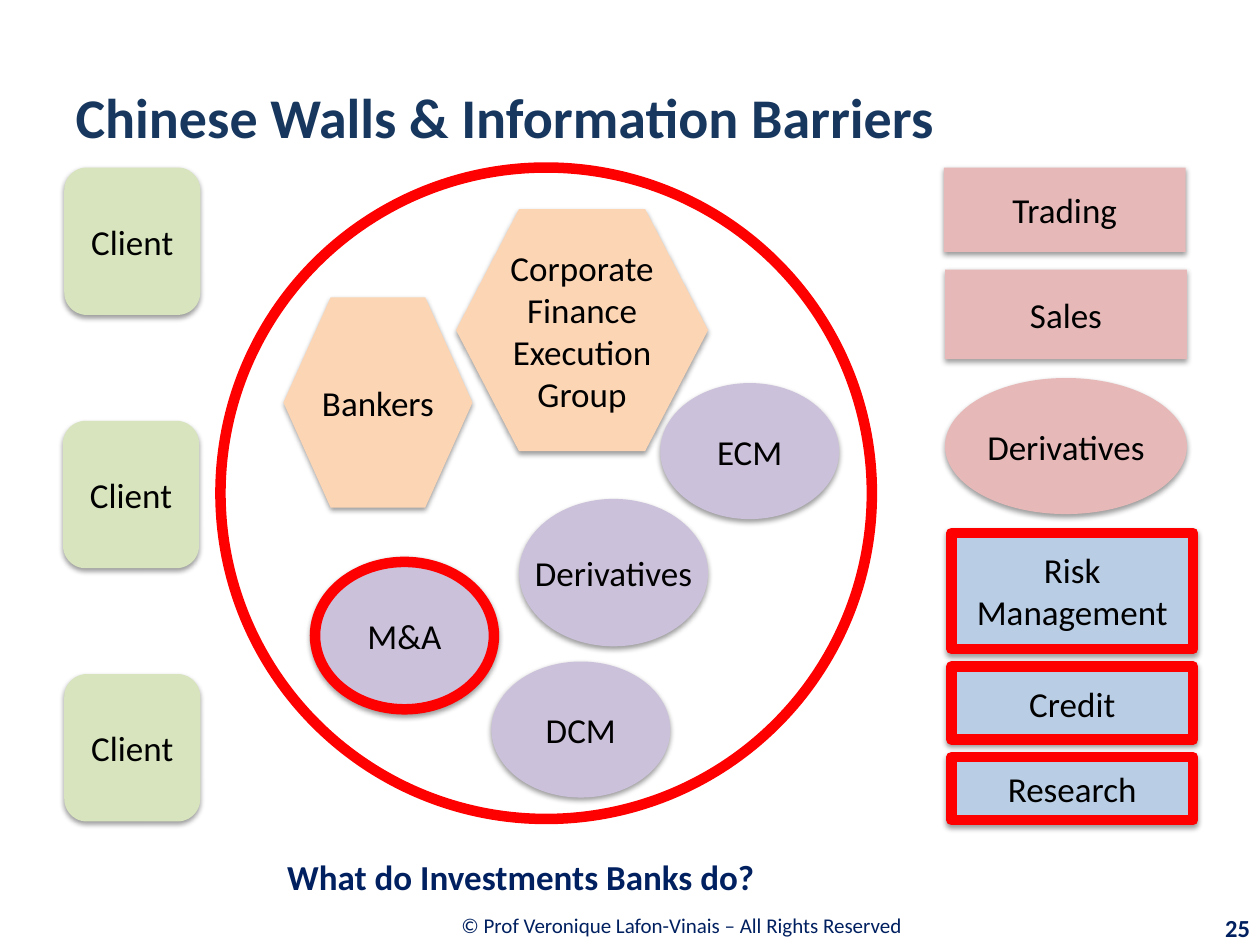
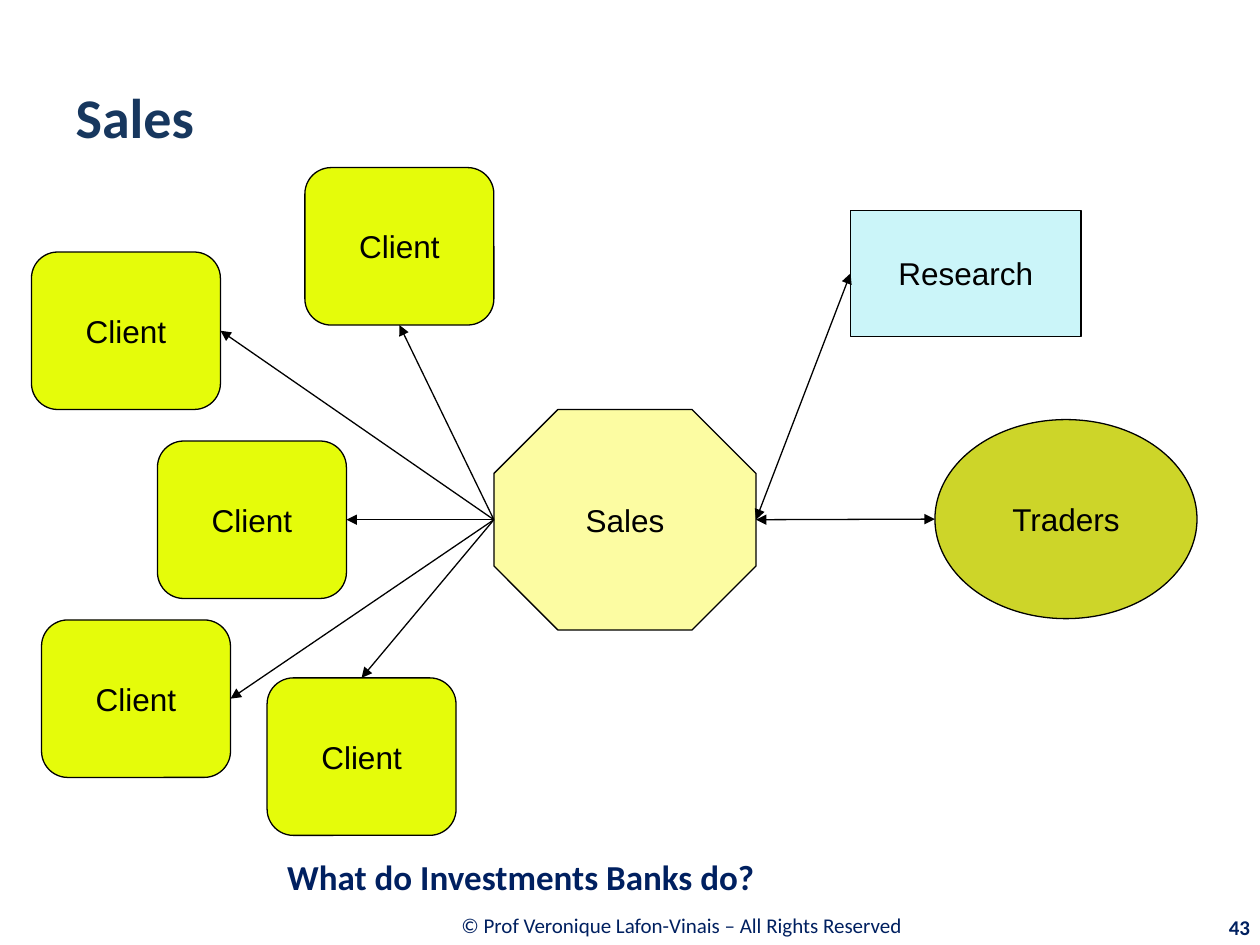
from dataclasses import dataclass
from lxml.etree import SubElement
from pptx import Presentation
from pptx.dml.color import RGBColor
from pptx.enum.shapes import MSO_CONNECTOR, MSO_SHAPE
from pptx.enum.text import MSO_ANCHOR, PP_ALIGN
from pptx.oxml.ns import qn
from pptx.util import Inches, Pt

NAVY, TITLE_BLUE = "002060", "17375E"
GREEN, PURPLE, ORANGE, PINK, BLUE = "D7E4BD", "CCC1DA", "FCD5B5", "E6B9B8", "B9CDE5"
LIME, YELLOW, CYAN, OLIVE = "E5FC0A", "FCFCA2", "CBF5F9", "CDD529"
RED, BLACK = "FF0000", "000000"
TAGLINE = "What do Investments Banks do?"
COPYRIGHT = "© Prof Veronique Lafon-Vinais – All Rights Reserved "
RECT, OVAL = MSO_SHAPE.RECTANGLE, MSO_SHAPE.OVAL
ROUND, HEXAGON = MSO_SHAPE.ROUNDED_RECTANGLE, MSO_SHAPE.HEXAGON


@dataclass(frozen=True)
class Look:
    font: str
    size: float
    line_width: float
    shadow: bool


@dataclass(frozen=True)
class Node:
    text: str
    shape: MSO_SHAPE
    left: float
    top: float
    width: float
    height: float
    fill: str | None
    line: str | None = None
    adjustment: float | None = None

    def side(self, name: str) -> tuple[float, float]:
        middle, centre = self.left + self.width / 2, self.top + self.height / 2
        return {"top": (middle, self.top),
                "bottom": (middle, self.top + self.height),
                "left": (self.left, centre),
                "right": (self.left + self.width, centre)}[name]


BARRIERS_LOOK = Look("Calibri", 20, 6, True)
SALES_LOOK = Look("Arial", 18, 0.75, False)


def rgb(value: str) -> RGBColor:
    return RGBColor.from_string(value)


def write(frame, text: str, align, color: str, **formats) -> None:
    """Fill a text frame, one paragraph per line of text."""
    frame.vertical_anchor = MSO_ANCHOR.MIDDLE
    for index, words in enumerate(text.split("\n")):
        para = frame.paragraphs[0] if index == 0 else frame.add_paragraph()
        para.alignment = align
        span = para.add_run()
        span.text = words
        span.font.color.rgb = rgb(color)
        for name, value in formats.items():
            setattr(span.font, name, value)


def add_label(page, text: str, place: tuple, align, size: float, bold: bool) -> None:
    box = page.shapes.add_textbox(*map(Inches, place))
    box.text_frame.word_wrap = True
    write(box.text_frame, text, align, NAVY, name="Calibri", size=Pt(size), bold=bold)


def add_page(deck, title: str, number: str, number_size: float):
    """Add a slide with its title, tagline, copyright line and number."""
    page = deck.slides.add_slide(deck.slide_layouts[5])
    heading = page.shapes.title
    place = {"left": 0.5, "top": 0.3, "width": 9, "height": 1.25}
    for name, value in place.items():
        setattr(heading, name, Inches(value))
    write(heading.text_frame, title, PP_ALIGN.LEFT, TITLE_BLUE,
          name="Calibri", size=Pt(32), bold=True)
    add_label(page, COPYRIGHT, (2.19, 7.15, 6.48, 0.39), PP_ALIGN.CENTER, 12, False)
    add_label(page, number, (9.01, 7.2, 1.01, 0.32), PP_ALIGN.RIGHT, number_size, True)
    add_label(page, TAGLINE, (2.18, 6.72, 7.82, 0.47), PP_ALIGN.LEFT, 20, True)
    return page


def add_shadow(shape) -> None:
    """Put a soft shadow just below the shape."""
    effects = shape._element.spPr.find(qn("a:effectLst"))
    shadow = SubElement(effects, qn("a:outerShdw"), blurRad=str(Pt(3.1)),
                        dist=str(Pt(1.6)), dir="5400000", rotWithShape="0")
    color = SubElement(shadow, qn("a:srgbClr"), val=BLACK)
    SubElement(color, qn("a:alpha"), val="38000")


def add_node(page, node: Node, look: Look) -> None:
    place = (node.left, node.top, node.width, node.height)
    shape = page.shapes.add_shape(node.shape, *map(Inches, place))
    shape.shadow.inherit = False
    if node.adjustment is not None:
        shape.adjustments[0] = node.adjustment
    if node.line:
        shape.line.color.rgb = rgb(node.line)
        shape.line.width = Pt(look.line_width)
    else:
        shape.line.fill.background()
    if node.fill:
        shape.fill.solid()
        shape.fill.fore_color.rgb = rgb(node.fill)
        if look.shadow:
            add_shadow(shape)
    else:
        shape.fill.background()
    if node.text:
        shape.text_frame.word_wrap = False
        write(shape.text_frame, node.text, PP_ALIGN.CENTER, BLACK,
              name=look.font, size=Pt(look.size))


def add_arrow(page, start: tuple, end: tuple, both_ways: bool = False) -> None:
    arrow = page.shapes.add_connector(MSO_CONNECTOR.STRAIGHT, *map(Inches, start + end))
    arrow.line.color.rgb = rgb(BLACK)
    arrow.line.width = Pt(0.75)
    line = arrow.line._get_or_add_ln()
    for tag in ("a:headEnd", "a:tailEnd") if both_ways else ("a:tailEnd",):
        SubElement(line, qn(tag), type="triangle")
    SubElement(arrow._element.spPr, qn("a:effectLst"))


def build_barriers(deck) -> None:
    page = add_page(deck, "Chinese Walls & Information Barriers", "25", 14)
    # Clients outside the wall
    clients = [Node("Client", ROUND, left, 1.33 + 2.01 * row, 1.08, 1.17, GREEN)
               for row, left in enumerate((0.51, 0.5, 0.51))]
    # Private side, enclosed by the red wall
    private_side = [
        Node("ECM", OVAL, 5.24, 3.04, 1.42, 1.08, PURPLE),
        Node("DCM", OVAL, 3.9, 5.25, 1.42, 1.08, PURPLE),
        Node("Bankers", HEXAGON, 2.25, 2.36, 1.5, 1.67, ORANGE, adjustment=0.25),
        Node("Corporate\nFinance\nExecution\nGroup", HEXAGON,
             3.62, 1.66, 2, 1.92, ORANGE, adjustment=0.26),
        Node("M&A", OVAL, 2.5, 4.46, 1.42, 1.17, PURPLE, RED),
        Node("", OVAL, 1.75, 1.33, 5.17, 5.17, None, RED),
        Node("Derivatives", OVAL, 4.12, 3.96, 1.5, 1.17, PURPLE),
    ]
    # Public side and control functions
    public_side = [
        Node("Trading", RECT, 7.49, 1.33, 1.92, 0.67, PINK),
        Node("Sales", RECT, 7.5, 2.14, 1.92, 0.71, PINK),
        Node("Derivatives", OVAL, 7.5, 3, 1.92, 1.08, PINK),
        Node("Research", RECT, 7.55, 6.01, 1.92, 0.5, BLUE, RED),
        Node("Credit", RECT, 7.55, 5.29, 1.92, 0.58, BLUE, RED),
        Node("Risk\nManagement", RECT, 7.55, 4.23, 1.92, 0.92, BLUE, RED),
    ]
    for node in clients + private_side + public_side:
        add_node(page, node, BARRIERS_LOOK)


def build_sales(deck) -> None:
    page = add_page(deck, "Sales", "43", 12)
    sales = Node("Sales", MSO_SHAPE.OCTAGON, 3.92, 3.25, 2.08, 1.75, YELLOW, BLACK, 0.29)
    research = Node("Research", RECT, 6.75, 1.67, 1.83, 1, CYAN, BLACK)
    traders = Node("Traders", OVAL, 7.42, 3.33, 2.08, 1.58, OLIVE, BLACK)
    for node in (sales, research, traders):
        add_node(page, node, SALES_LOOK)

    # Each client with the side its arrow reaches
    client_sides = [(2.42, 1.33, "bottom"), (1.25, 3.5, "right"), (2.12, 5.38, "top"),
                    (0.25, 2, "right"), (0.33, 4.92, "right")]
    for left, top, side in client_sides:
        client = Node("Client", ROUND, left, top, 1.5, 1.25, LIME, BLACK)
        add_node(page, client, SALES_LOOK)
        add_arrow(page, sales.side("left"), client.side(side))

    # Two-way flows inside the bank
    for partner in (traders, research):
        add_arrow(page, sales.side("right"), partner.side("left"), both_ways=True)


def main() -> None:
    deck = Presentation()
    deck.slide_width, deck.slide_height = Inches(10), Inches(7.5)
    build_barriers(deck)
    build_sales(deck)
    deck.save("out.pptx")


if __name__ == "__main__":
    main()
